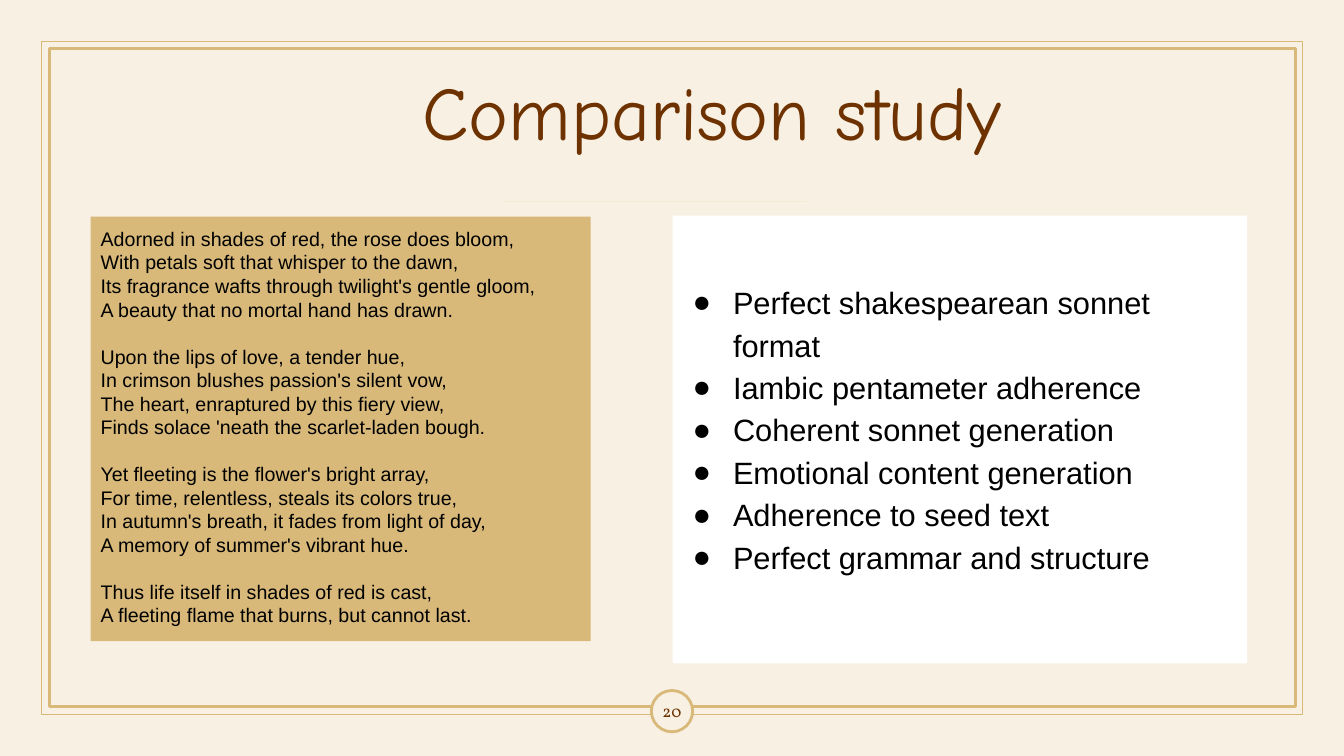
from math import cos, pi, sin
from lxml.etree import SubElement
from pptx import Presentation
from pptx.dml.color import RGBColor
from pptx.enum.shapes import MSO_SHAPE
from pptx.enum.text import MSO_ANCHOR, MSO_AUTO_SIZE, PP_ALIGN
from pptx.oxml.ns import qn
from pptx.util import Inches, Pt

HUES = {"cream": "F7F0E3", "gold": "D8B97A", "brown": "6D3200",
        "black": "000000", "white": "FFFFFF"}
STANZAS = [
    ["Adorned in shades of red, the rose does bloom,",
     "With petals soft that whisper to the dawn,",
     "Its fragrance wafts through twilight's gentle gloom,",
     "A beauty that no mortal hand has drawn."],
    ["Upon the lips of love, a tender hue,",
     "In crimson blushes passion's silent vow,",
     "The heart, enraptured by this fiery view,",
     "Finds solace 'neath the scarlet-laden bough."],
    ["Yet fleeting is the flower's bright array,",
     "For time, relentless, steals its colors true,",
     "In autumn's breath, it fades from light of day,",
     "A memory of summer's vibrant hue."],
    ["Thus life itself in shades of red is cast,",
     "A fleeting flame that burns, but cannot last."],
]
POINTS = ["Perfect shakespearean sonnet format", "Iambic pentameter adherence",
          "Coherent sonnet generation", "Emotional content generation",
          "Adherence to seed text", "Perfect grammar and structure"]


def paint(fill, hue):
    fill.solid()
    fill.fore_color.rgb = RGBColor.from_string(HUES[hue])


def style(para, face, size, hue):
    for run in para.runs:
        run.font.name = face
        run.font.size = Pt(size)
        run.font.color.rgb = RGBColor.from_string(HUES[hue])


deck = Presentation()
deck.slide_width, deck.slide_height = Inches(13.33), Inches(7.5)
slide = deck.slides.add_slide(deck.slide_layouts[1])
paint(slide.background.fill, "cream")
shapes = slide.shapes

frames = [
    (MSO_SHAPE.RECTANGLE, 0.41, 0.41, 12.51, 6.68, 1),
    (MSO_SHAPE.RECTANGLE, 0.49, 0.48, 12.36, 6.53, 2),
    (MSO_SHAPE.OVAL, 6.46, 6.85, 0.41, 0.41, 2),
]
for kind, left, top, width, height, weight in frames:
    badge = shapes.add_shape(kind, Inches(left), Inches(top), Inches(width), Inches(height))
    badge.shadow.inherit = False
    badge.fill.background()
    paint(badge.line.fill, "gold")
    badge.line.width = Pt(weight)

paint(badge.fill, "cream")
frame = badge.text_frame
frame.margin_left = frame.margin_right = frame.margin_top = frame.margin_bottom = 0
frame.vertical_anchor = MSO_ANCHOR.MIDDLE
frame.word_wrap = False
frame.text = "20"
frame.paragraphs[0].alignment = PP_ALIGN.CENTER
style(frame.paragraphs[0], "Vollkorn", 12, "brown")

mid = 1.8
arc = [(6.66 - 0.06 * cos(pi * i / 12), 0.06 * sin(pi * i / 12)) for i in range(1, 12)]
crest = [(4.97, 0.01), (6.22, 0.01), (6.33, 0.03), (6.44, 0.06), (6.5, 0.03),
         (6.56, 0.01), (6.59, 0.01), *arc, (6.72, 0.01), (6.75, 0.01),
         (6.81, 0.03), (6.88, 0.06), (6.98, 0.03), (7.09, 0.01), (8.37, 0.01)]
edge = [(x, mid - y) for x, y in crest] + [(x, mid + y) for x, y in reversed(crest)]
pen = shapes.build_freeform(*edge[0], scale=Inches(1))
pen.add_line_segments(edge[1:], close=True)
divider = pen.convert_to_shape()
divider.shadow.inherit = False
paint(divider.fill, "gold")
divider.line.fill.background()

title = shapes.title
title.left, title.top, title.width, title.height = map(Inches, (1.31, 0.66, 11.5, 0.99))
frame = title.text_frame
frame.auto_size = MSO_AUTO_SIZE.NONE
frame.vertical_anchor = MSO_ANCHOR.MIDDLE
frame.text = "Comparison study"
frame.paragraphs[0].alignment = PP_ALIGN.CENTER
frame.paragraphs[0].line_spacing = 0.9
style(frame.paragraphs[0], "Comic Neue", 54, "brown")

poem = shapes.add_textbox(Inches(0.9), Inches(2.15), Inches(4.96), Inches(4.21))
paint(poem.fill, "gold")
frame = poem.text_frame
frame.word_wrap = True
frame.margin_left = frame.margin_right = frame.margin_top = frame.margin_bottom = Inches(0.1)
for part, stanza in enumerate(STANZAS):
    for row, verse in enumerate(stanza):
        first = part == row == 0
        para = frame.paragraphs[0] if first else frame.add_paragraph()
        para.text = verse
        if part and row == 0:
            para.space_before = Pt(16.8)
        style(para, "Arial", 14, "black")

body = slide.placeholders[1]
body.left, body.top, body.width, body.height = map(Inches, (6.67, 2.14, 5.7, 4.44))
paint(body.fill, "white")
frame = body.text_frame
frame.auto_size = MSO_AUTO_SIZE.NONE
frame.vertical_anchor = MSO_ANCHOR.TOP
frame.margin_left = frame.margin_right = frame.margin_bottom = Inches(0.1)
frame.margin_top = Inches(0.62)
frame.text = "\n".join(POINTS)
for para in frame.paragraphs:
    props = para._p.get_or_add_pPr()
    props.set("marL", str(Inches(0.5)))
    props.set("indent", str(Inches(-0.4)))
    tint = SubElement(props, qn("a:buClr"))
    SubElement(tint, qn("a:srgbClr"), val=HUES["black"])
    SubElement(props, qn("a:buFont"), typeface="Arial")
    SubElement(props, qn("a:buChar"), char="●")
    para.line_spacing = 1.15
    para.space_before = Pt(0)
    style(para, "Arial", 22, "black")

deck.save("out.pptx")
